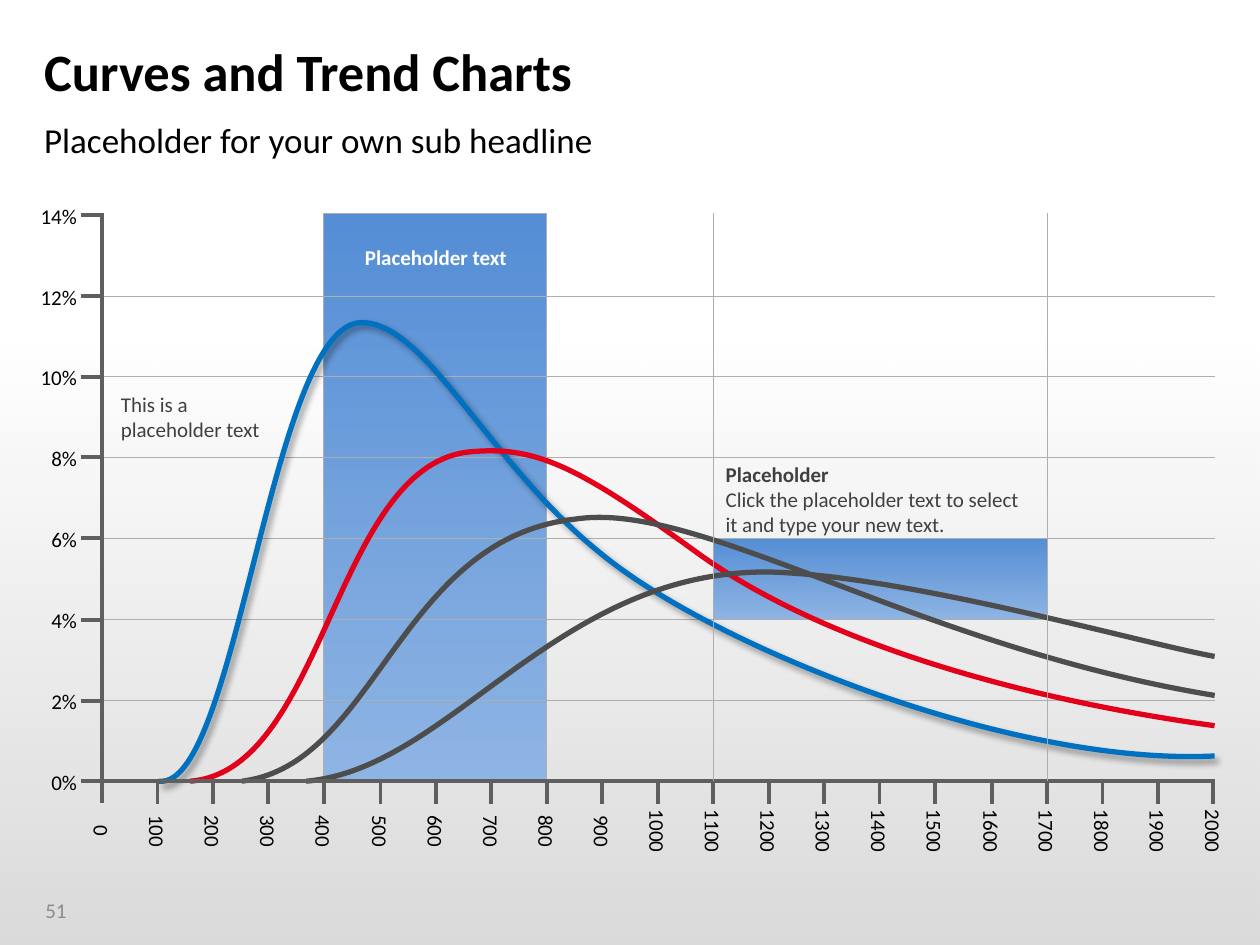
from lxml import etree
from pptx import Presentation
from pptx.dml.color import RGBColor
from pptx.enum.shapes import MSO_CONNECTOR, MSO_SHAPE
from pptx.enum.text import MSO_ANCHOR, MSO_AUTO_SIZE, PP_ALIGN
from pptx.oxml.ns import qn
from pptx.util import Pt

SCALE = 9144
STRAIGHT = MSO_CONNECTOR.STRAIGHT
RECTANGLE = MSO_SHAPE.RECTANGLE
MIDDLE, TOP = MSO_ANCHOR.MIDDLE, MSO_ANCHOR.TOP
LEFT, CENTER, RIGHT = PP_ALIGN.LEFT, PP_ALIGN.CENTER, PP_ALIGN.RIGHT
FIT, FIXED = MSO_AUTO_SIZE.SHAPE_TO_FIT_TEXT, MSO_AUTO_SIZE.NONE

FONT = "Calibri"
AXIS, GRID, NOTE = "5F5F5F", "AEAEAE", "404040"
BAND_STOPS = ("558ED5", "8EB4E3")
AXIS_X, AXIS_Y, AXIS_TOP, AXIS_RIGHT = 81, 620, 169, 964
TICK = 17

CURVES = [
    ("0070C0", True, [(126, 620), (188, 628), (215, 256), (287, 256), (339, 256),
                      (388, 369), (479, 441), (569, 514), (804, 608), (964, 600)]),
    ("E2001A", False, [(151, 620), (257, 612), (265, 374), (370, 359), (424, 353),
                       (457, 369), (551, 437), (650, 510), (811, 555), (964, 576)]),
    ("4D4D4D", False, [(192, 620), (299, 607), (316, 427), (457, 412),
                       (556, 397), (726, 513), (964, 552)]),
    ("4D4D4D", False, [(243, 620), (358, 610), (441, 452), (611, 454),
                       (720, 457), (904, 510), (964, 521)]),
]


def px(length):
    """Turn px into EMU."""
    return round(length * SCALE)


def color(code):
    """Turn a hex string into a colour."""
    return RGBColor.from_string(code)


def axis_x(value):
    """Return the px position of a value on the horizontal axis."""
    return round(AXIS_X + 0.441 * value)


def axis_y(percent):
    """Return the px position of a percentage on the vertical axis."""
    return round(AXIS_Y - 32.1 * percent)


def add_text(page, text, left, top, width, height, size=12, ink="000000", bold=False,
             align=LEFT, anchor=MIDDLE, rotation=0, wrap=True, fit=FIT,
             spacing=1.0, bold_first=False):
    """Add a text box without margins, one paragraph per line of text."""
    box = page.shapes.add_textbox(px(left), px(top), px(width), px(height))
    box.rotation = rotation
    frame = box.text_frame
    frame.margin_left = frame.margin_right = frame.margin_top = frame.margin_bottom = 0
    frame.word_wrap, frame.auto_size, frame.vertical_anchor = wrap, fit, anchor
    frame.text = text
    for index, para in enumerate(frame.paragraphs):
        para.alignment, para.line_spacing = align, spacing
        for span in para.runs:
            span.font.name, span.font.size = FONT, Pt(size)
            span.font.bold = bold or (bold_first and index == 0)
            span.font.color.rgb = color(ink)
    return box


def add_gradient(page, left, top, width, height, stops, outline=None, alphas=None):
    """Add a rectangle shaded from top to bottom."""
    box = page.shapes.add_shape(RECTANGLE, px(left), px(top), px(width), px(height))
    box.shadow.inherit = False
    box.fill.gradient()
    box.fill.gradient_angle = 270
    for stop, code in zip(box.fill.gradient_stops, stops):
        stop.color.rgb = color(code)
    if alphas:
        fills = box._element.spPr.iter(qn("a:srgbClr"))
        for fill, alpha in zip(fills, alphas):
            etree.SubElement(fill, qn("a:alpha"), val=str(alpha * 1000))
    if outline:
        box.line.color.rgb = color(outline)
        box.line.width = Pt(0.5)
    else:
        box.line.fill.background()
    return box


def add_line(page, start, end, ink, width):
    """Add a straight line without a shadow."""
    line = page.shapes.add_connector(STRAIGHT, *map(px, start + end))
    line.line.color.rgb = color(ink)
    line.line.width = Pt(width)
    etree.SubElement(line._element.spPr, qn("a:effectLst"))
    return line


def add_shadow(shape):
    """Give a shape a soft shadow to the lower right."""
    effects = shape._element.spPr.find(qn("a:effectLst"))
    shadow = etree.SubElement(effects, qn("a:outerShdw"), blurRad=str(Pt(4)),
                              dist=str(Pt(3)), dir="2700000", algn="tl", rotWithShape="0")
    ink = etree.SubElement(shadow, qn("a:srgbClr"), val="000000")
    etree.SubElement(ink, qn("a:alpha"), val="40000")


def add_curve(page, points, ink, shadow):
    """Add an open Bezier curve from a start and triples of control points."""
    builder = page.shapes.build_freeform(*points[0], scale=SCALE)
    builder.add_line_segments(points[1:], close=False)
    curve = builder.convert_to_shape()
    curve.fill.background()
    curve.line.color.rgb = color(ink)
    curve.line.width = Pt(3)
    curve.shadow.inherit = False
    outline = next(curve._element.iter(qn("a:path")))
    segments = outline.findall(qn("a:lnTo"))
    for first in range(0, len(segments), 3):
        bezier = etree.SubElement(outline, qn("a:cubicBezTo"))
        for segment in segments[first:first + 3]:
            bezier.append(segment[0])
            outline.remove(segment)
    if shadow:
        add_shadow(curve)
    return curve


def add_bands(page):
    """Add the two highlighted ranges."""
    for start, end, high, low in ((1100, 1700, axis_y(6), axis_y(4)),
                                  (400, 800, AXIS_TOP, AXIS_Y)):
        left = axis_x(start)
        add_gradient(page, left, high, axis_x(end) - left, low - high, BAND_STOPS, GRID)


def add_axes(page):
    """Add both axes with their ticks and labels."""
    add_line(page, (AXIS_X - TICK, AXIS_Y), (AXIS_RIGHT, AXIS_Y), AXIS, 2.25)
    add_line(page, (AXIS_X, AXIS_Y + TICK), (AXIS_X, AXIS_TOP), AXIS, 2.25)
    for value in range(0, 2001, 100):
        x = axis_x(value)
        if value:
            add_line(page, (x, AXIS_Y + 1), (x, AXIS_Y + 1 + TICK), AXIS, 2.25)
        add_text(page, str(value), x - 26, 649, 52, 21, align=CENTER, rotation=90)
    for percent in range(0, 15, 2):
        y = axis_y(percent)
        if percent:
            add_line(page, (AXIS_X - TICK, y), (AXIS_X, y), AXIS, 2.25)
        add_text(page, f"{percent}%", 9, y - 10, 52, 21, align=RIGHT)


def main():
    """Build the slide and save it."""
    deck = Presentation()
    deck.slide_width, deck.slide_height = px(1000), px(750)
    page = deck.slides.add_slide(deck.slide_layouts[6])
    add_gradient(page, 0, 259, 1000, 491, ("000000", "000000"), alphas=(0, 15))
    add_text(page, "51", 36, 702, 54, 40, ink="8C8C8C", fit=FIXED)
    add_text(page, "Curves and Trend Charts", 35, 26, 929, 67, size=30, bold=True,
             fit=FIXED, spacing=0.9)
    add_text(page, "Placeholder for your own sub headline", 35, 94, 929, 37, size=20,
             anchor=TOP, fit=FIXED)
    add_bands(page)
    for percent in range(2, 13, 2):
        y = axis_y(percent)
        add_line(page, (AXIS_X, y), (AXIS_RIGHT, y), GRID, 0.5)
    for ink, shadow, points in CURVES:
        add_curve(page, points, ink, shadow)
    add_axes(page)
    add_text(page, "Placeholder\nClick the placeholder text to select it and type your new text.",
             576, 365, 244, 62, ink=NOTE, bold_first=True)
    add_text(page, "This is a placeholder text", 96, 310, 127, 41, ink=NOTE)
    add_text(page, "Placeholder text", 289, 194, 114, 20, ink="FFFFFF", bold=True,
             align=CENTER, wrap=False)
    for value in (1100, 1700):
        x = axis_x(value)
        add_line(page, (x, AXIS_Y), (x, AXIS_TOP), GRID, 0.5)
    deck.save("out.pptx")


if __name__ == "__main__":
    main()
